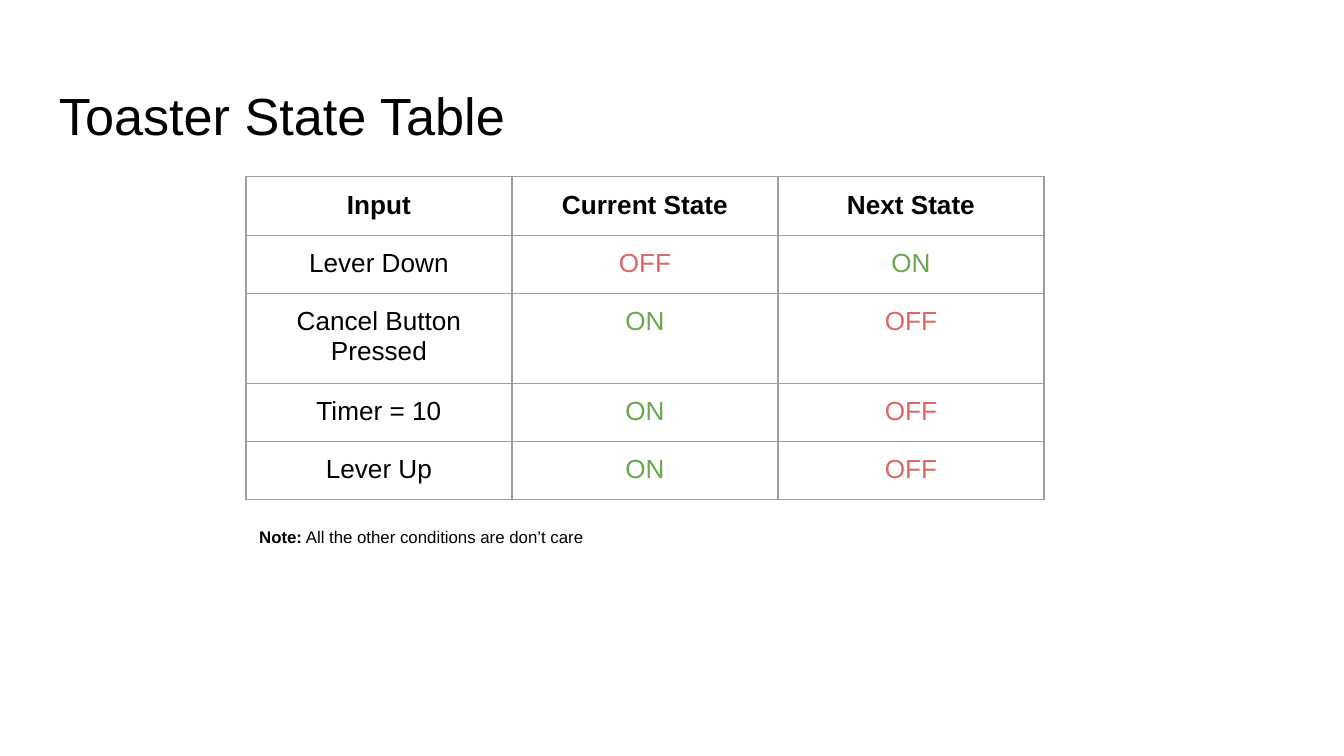
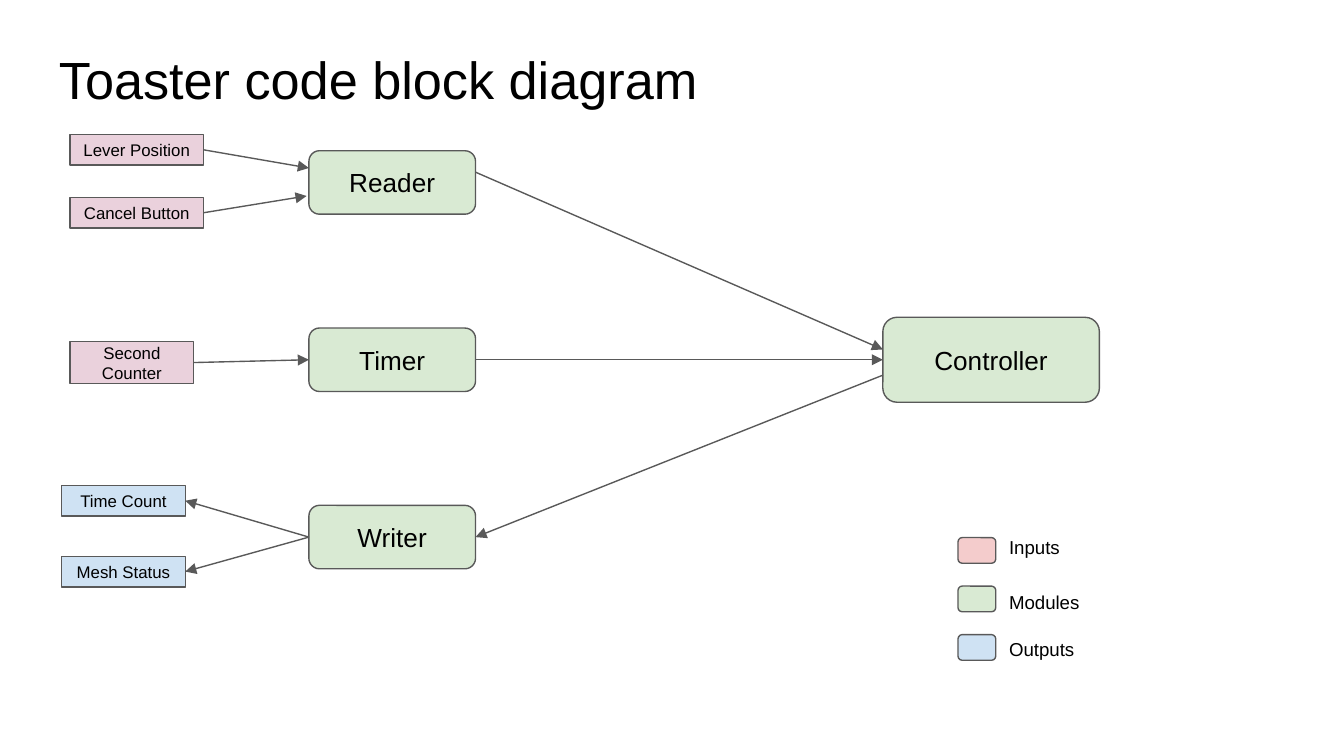
from lxml.etree import SubElement
from pptx import Presentation
from pptx.dml.color import RGBColor
from pptx.enum.shapes import MSO_CONNECTOR, MSO_SHAPE
from pptx.enum.text import MSO_ANCHOR, PP_ALIGN
from pptx.oxml.ns import qn
from pptx.util import Pt

FONT = "Arial"
BLACK = "000000"
GRID = "9E9E9E"
OUTLINE = "595959"
INPUT = "EAD1DC"
INPUT_KEY = "F4CCCC"
MODULE = "D9EAD3"
OUTPUT = "CFE2F3"
STATE_COLOURS = {"OFF": "E06666", "ON": "6AA84F"}
INSET = 7.2
LEFT, RIGHT = 1, 3

STATES = [
    ("Input", "Current State", "Next State"),
    ("Lever Down", "OFF", "ON"),
    ("Cancel Button Pressed", "ON", "OFF"),
    ("Timer = 10", "ON", "OFF"),
    ("Lever Up", "ON", "OFF"),
]


def rgb(colour):
    return RGBColor.from_string(colour)


def write(frame, text, size=14, colour=BLACK, bold=False, lead="",
          align=PP_ALIGN.LEFT, anchor=MSO_ANCHOR.TOP, side=INSET, above=INSET):
    frame.word_wrap = True
    frame.vertical_anchor = anchor
    frame.margin_left = frame.margin_right = Pt(side)
    frame.margin_top, frame.margin_bottom = Pt(above), Pt(INSET)
    paragraph = frame.paragraphs[0]
    paragraph.alignment = align
    for words, heavy in ((lead, True), (text, bold)):
        if words:
            run = paragraph.add_run()
            run.text = words
            run.font.name = FONT
            run.font.size = Pt(size)
            run.font.bold = heavy
            run.font.color.rgb = rgb(colour)


def label(slide, text, left, top, width, height, **style):
    box = slide.shapes.add_textbox(Pt(left), Pt(top), Pt(width), Pt(height))
    write(box.text_frame, text, **style)


def block(slide, text, left, top, width, height, fill,
          kind=MSO_SHAPE.ROUNDED_RECTANGLE, **style):
    shape = slide.shapes.add_shape(kind, Pt(left), Pt(top), Pt(width), Pt(height))
    shape.shadow.inherit = False
    shape.fill.solid()
    shape.fill.fore_color.rgb = rgb(fill)
    shape.line.color.rgb = rgb(OUTLINE)
    shape.line.width = Pt(0.75)
    write(shape.text_frame, text, align=PP_ALIGN.CENTER,
          anchor=MSO_ANCHOR.MIDDLE, **style)
    return shape


def signal(slide, source, target):
    arrow = slide.shapes.add_connector(MSO_CONNECTOR.STRAIGHT, 0, 0, 0, 0)
    if isinstance(source[0], (int, float)):
        arrow.begin_x, arrow.begin_y = map(Pt, source)
    else:
        arrow.begin_connect(*source)
    if isinstance(target[0], (int, float)):
        arrow.end_x, arrow.end_y = map(Pt, target)
    else:
        arrow.end_connect(*target)
    arrow.line.color.rgb = rgb(OUTLINE)
    arrow.line.width = Pt(0.75)
    properties = arrow._element.spPr
    SubElement(properties.find(qn("a:ln")), qn("a:tailEnd"), type="triangle")
    SubElement(properties, qn("a:effectLst"))


def title(slide, text, top):
    label(slide, text, 24.5, top, 671, 45, size=28, above=9.6)


def outline_cell(cell):
    properties = cell._tc.get_or_add_tcPr()
    for edge in ("a:lnL", "a:lnR", "a:lnT", "a:lnB"):
        line = SubElement(properties, qn(edge), w=str(Pt(0.75)))
        SubElement(SubElement(line, qn("a:solidFill")), qn("a:srgbClr"), val=GRID)
    cell.fill.background()


def state_table(slide, left, top, width):
    row_height = 30.5
    table = slide.shapes.add_table(
        len(STATES), len(STATES[0]), Pt(left), Pt(top), Pt(width),
        Pt(row_height * len(STATES))).table
    table.first_row = table.horz_banding = False
    for row, states in enumerate(STATES):
        for column, text in enumerate(states):
            cell = table.cell(row, column)
            outline_cell(cell)
            cell.margin_left = cell.margin_right = Pt(INSET)
            cell.margin_top = cell.margin_bottom = Pt(INSET)
            write(cell.text_frame, text, bold=row == 0,
                  colour=STATE_COLOURS.get(text, BLACK), align=PP_ALIGN.CENTER)
    label(slide, " All the other conditions are don’t care",
          left, top + 181.75, 198, 16.5, size=9, lead="Note:")


def block_diagram(slide, left, top):
    def module(text, x, y, width=89.25, height=34):
        return block(slide, text, left + x, top + y, width, height, MODULE)

    def port(text, x, y, fill, width=66.25, height=16.5):
        return block(slide, text, left + x, top + y, width, height, fill,
                     kind=MSO_SHAPE.RECTANGLE, size=9, side=6)

    def point(x, y):
        return left + x, top + y

    reader, timer, writer = [
        module(text, 132.5, 8.75 + 95 * row)
        for row, text in enumerate(("Reader", "Timer", "Writer"))]
    controller = module("Controller", 440, 98, 116, 45.5)

    lever = port("Lever Position", 4.5, 0, INPUT, width=71.5)
    cancel = port("Cancel Button", 4.5, 33.75, INPUT, width=71.5)
    seconds = port("Second Counter", 4.5, 111, INPUT, height=22.5)
    time_count = port("Time Count", 0, 188, OUTPUT)
    mesh_status = port("Mesh Status", 0, 226, OUTPUT)

    for source, target in (
        (point(221.75, 20.25), point(440, 115.25)),
        ((timer, RIGHT), (controller, LEFT)),
        (point(440, 129), (writer, RIGHT)),
        ((lever, RIGHT), point(132.5, 18)),
        ((cancel, RIGHT), point(131.25, 33)),
        ((seconds, RIGHT), (timer, LEFT)),
        ((writer, LEFT), (time_count, RIGHT)),
        ((writer, LEFT), (mesh_status, RIGHT)),
    ):
        signal(slide, source, target)


def legend(slide, left, top):
    entries = (("Inputs", INPUT_KEY, 0), ("Modules", MODULE, 29.5),
               ("Outputs", OUTPUT, 54.5))
    for row, (text, fill, drop) in enumerate(entries):
        block(slide, "", left, top + 7 + 26 * row, 20.25, 13.75, fill)
        label(slide, text, left + 20.25, top + drop, 70, 13.5, size=10)


def main():
    deck = Presentation()
    deck.slide_width, deck.slide_height = Pt(720), Pt(405)
    blank = deck.slide_layouts[6]

    states = deck.slides.add_slide(blank)
    title(states, "Toaster State Table", 35.25)
    state_table(states, 131.75, 94.75, 427.5)

    diagram = deck.slides.add_slide(blank)
    title(diagram, "Toaster code block diagram", 15.75)
    block_diagram(diagram, 33, 72)
    legend(diagram, 513.25, 281)

    deck.save("out.pptx")


if __name__ == "__main__":
    main()
